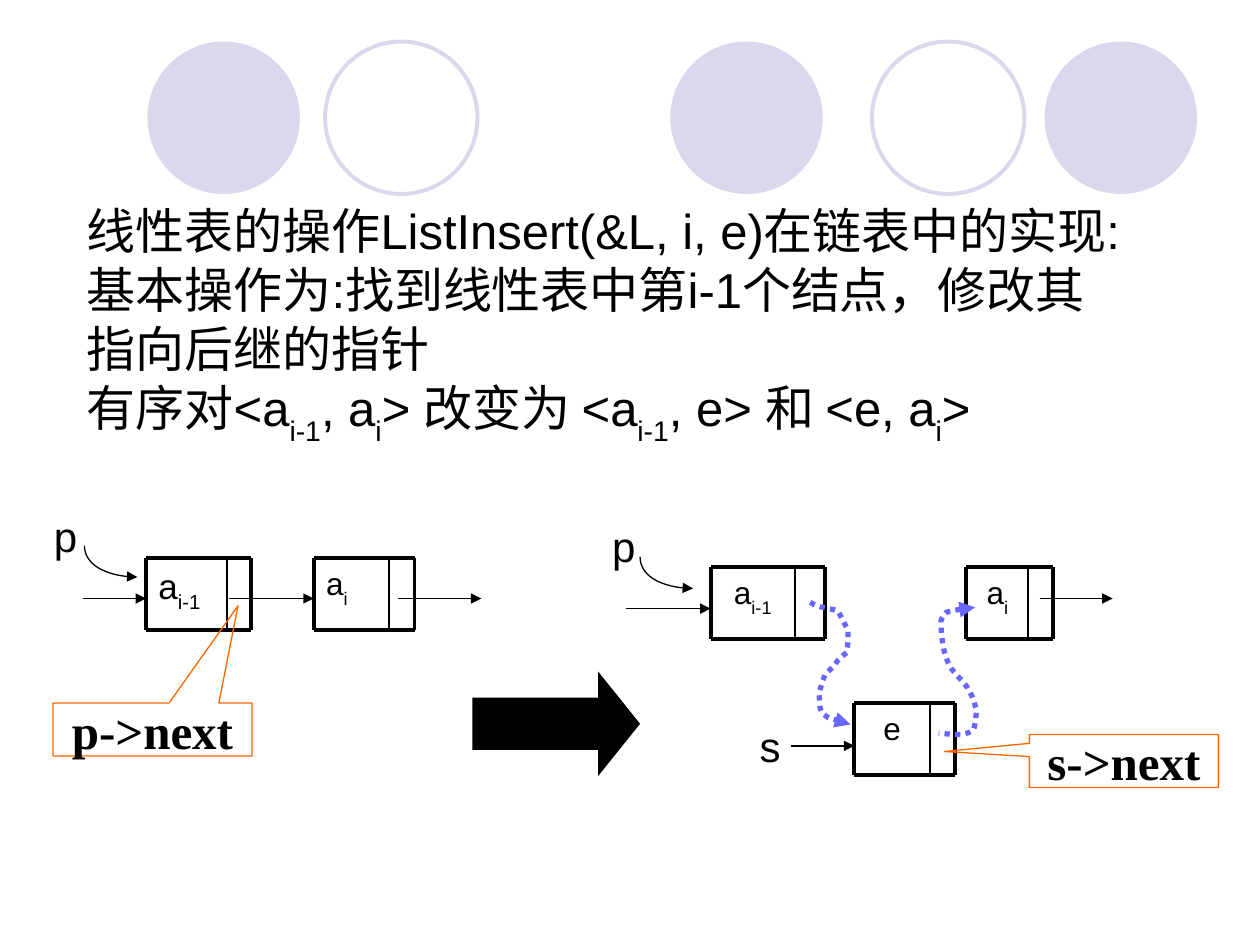
from dataclasses import dataclass

from lxml.etree import SubElement
from pptx import Presentation
from pptx.dml.color import RGBColor
from pptx.enum.dml import MSO_LINE
from pptx.enum.shapes import MSO_CONNECTOR, MSO_SHAPE
from pptx.enum.text import MSO_ANCHOR, MSO_AUTO_SIZE, PP_ALIGN
from pptx.oxml.ns import qn
from pptx.util import Inches, Pt

Point = tuple[float, float]


@dataclass(frozen=True)
class Theme:
    black: str = "000000"
    lavender: str = "D9D8EC"
    violet: str = "6767FF"
    orange: str = "FF6600"
    body_font: str = "Arial"
    code_font: str = "Times New Roman"
    heading: float = 28
    pointer: float = 24
    large_cell: float = 20
    cell: float = 18
    thin: float = 0.75
    divider: float = 1
    frame: float = 2.25
    link: float = 3


@dataclass(frozen=True)
class Circle:
    left: float
    filled: bool


@dataclass(frozen=True)
class Node:
    left: float
    top: float
    width: float
    data_width: float
    pieces: tuple[str, ...]
    size: float
    align: PP_ALIGN = PP_ALIGN.CENTER


@dataclass(frozen=True)
class Callout:
    left: float
    top: float
    width: float
    text: str
    tip: Point


THEME = Theme()
NODE_HEIGHT = 0.57
CIRCLES = [Circle(5.32, True), Circle(8.29, True), Circle(1.17, True),
           Circle(6.92, False), Circle(2.58, False)]
NODES = [
    Node(1.16, 4.43, 0.83, 0.64, ("a", "i-1"), THEME.large_cell, PP_ALIGN.LEFT),
    Node(2.49, 4.43, 0.8, 0.6, ("a", "i"), THEME.cell, PP_ALIGN.LEFT),
    Node(5.64, 4.5, 0.91, 0.67, ("a", "i-1"), THEME.cell),
    Node(7.67, 4.5, 0.69, 0.49, ("a", "i"), THEME.cell),
    Node(6.78, 5.58, 0.8, 0.6, ("e",), THEME.cell),
]
ARROWS = [(0.66, 1.16, 4.75), (1.82, 2.49, 4.75), (3.16, 3.82, 4.75),
          (4.97, 5.64, 4.83), (8.25, 8.83, 4.75), (6.28, 6.78, 5.92)]
POINTERS = [("p", 0.33, 4), ("p", 4.76, 4.08), ("s", 5.93, 5.67)]
HOOKS = [(0.67, 4.33), (5.08, 4.42)]
CALLOUTS = [Callout(0.42, 5.58, 1.58, "p->next", (0.43, -2.34)),
            Callout(8.17, 5.83, 1.5, "s->next", (-0.95, -0.18))]
LINK_TO_NEW = [
    (6.43, 4.78), (6.5, 4.83), (6.57, 4.82), (6.65, 4.85), (6.68, 4.9), (6.7, 4.95),
    (6.73, 5), (6.73, 5.06), (6.73, 5.13), (6.72, 5.18), (6.71, 5.2), (6.68, 5.2),
    (6.67, 5.22), (6.65, 5.23), (6.65, 5.25), (6.63, 5.27), (6.61, 5.3), (6.55, 5.35),
    (6.55, 5.35), (6.53, 5.4), (6.5, 5.5), (6.5, 5.5), (6.51, 5.56), (6.49, 5.65),
    (6.55, 5.68), (6.59, 5.71), (6.66, 5.72), (6.7, 5.73), (6.72, 5.74), (6.75, 5.75),
    (6.75, 5.75),
]
LINK_FROM_NEW = [
    (7.74, 4.82), (7.65, 4.83), (7.59, 4.84), (7.51, 4.86), (7.49, 4.88), (7.46, 4.92),
    (7.47, 4.95), (7.47, 5.06), (7.49, 5.24), (7.57, 5.33), (7.61, 5.38), (7.68, 5.44),
    (7.7, 5.5), (7.72, 5.52), (7.74, 5.6), (7.75, 5.64), (7.75, 5.64), (7.74, 5.79),
    (7.72, 5.8), (7.69, 5.82), (7.63, 5.83), (7.63, 5.83), (7.57, 5.83), (7.45, 5.82),
    (7.45, 5.82),
]
TITLE = (
    "线性表的操作ListInsert(&L, i, e)在链表中的实现:\n"
    "基本操作为:找到线性表中第i-1个结点，修改其指向后继的指针\n有序对<a",
    "i-1", ", a", "i", "> 改变为 <a", "i-1", ", e> 和 <e, a", "i", ">",
)


def write(shape, pieces, *, size, font=THEME.body_font, bold=False, align=PP_ALIGN.LEFT,
          anchor=MSO_ANCHOR.TOP, bottom=0.05, before=0.0) -> None:
    """Fill a shape with pieces of text, every second one a subscript."""
    frame = shape.text_frame
    frame.word_wrap = True
    frame.auto_size = MSO_AUTO_SIZE.NONE
    frame.vertical_anchor = anchor
    frame.margin_left = frame.margin_right = Inches(0.1)
    frame.margin_top, frame.margin_bottom = Inches(0.05), Inches(bottom)
    para = frame.paragraphs[0]
    para.alignment = align
    para.space_before = Pt(before)
    para._p.get_or_add_pPr().set("hangingPunct", "0")
    for index, piece in enumerate(pieces):
        for row, text in enumerate(piece.split("\n")):
            if row:
                para.add_line_break()
                SubElement(para._p.findall(qn("a:br"))[-1], qn("a:rPr"), sz=str(size * 100))
            span = para.add_run()
            span.text = text
            span.font.size, span.font.name, span.font.bold = Pt(size), font, bold
            span.font.color.rgb = RGBColor.from_string(THEME.black)
            if index % 2:
                span.font._element.set("baseline", "-30000")


def stroke(shape, color: str, width: float, *, arrow: str = "") -> None:
    """Set the line of a shape, with an optional arrowhead at headEnd or tailEnd."""
    shape.line.color.rgb = RGBColor.from_string(color)
    shape.line.width = Pt(width)
    if arrow:
        SubElement(shape.line._get_or_add_ln(), qn(f"a:{arrow}"), type="triangle")


def add_outline(page, kind: MSO_SHAPE, left: float, top: float, width: float,
                height: float, color: str, line_width: float, *, filled: bool = False):
    """Add a preset shape that is either filled or outlined."""
    shape = page.shapes.add_shape(kind, Inches(left), Inches(top), Inches(width), Inches(height))
    shape.shadow.inherit = False
    if filled:
        shape.fill.solid()
        shape.fill.fore_color.rgb = RGBColor.from_string(color)
        shape.line.fill.background()
    else:
        shape.fill.background()
        stroke(shape, color, line_width)
    return shape


def add_line(page, start: Point, end: Point, width: float, *, arrow: str = "") -> None:
    """Add a straight black line without a shadow."""
    line = page.shapes.add_connector(MSO_CONNECTOR.STRAIGHT, *map(Inches, start + end))
    stroke(line, THEME.black, width, arrow=arrow)
    SubElement(line._element.spPr, qn("a:effectLst"))


def add_curve(page, points: list[Point], color: str, width: float, *,
              arrow: str = "tailEnd", dotted: bool = False) -> None:
    """Add an open chain of cubic curves with an arrowhead."""
    start, *rest = [(Inches(x), Inches(y)) for x, y in points]
    builder = page.shapes.build_freeform(*start, scale=1.0)
    builder.add_line_segments(rest, close=False)
    curve = builder.convert_to_shape()
    segments = list(curve._element.iter(qn("a:lnTo")))
    outline = segments[0].getparent()
    for first in range(0, len(segments), 3):
        cubic = SubElement(outline, qn("a:cubicBezTo"))
        for segment in segments[first:first + 3]:
            cubic.append(segment[0])
            outline.remove(segment)
    curve.shadow.inherit = False
    curve.fill.background()
    if dotted:
        curve.line.dash_style = MSO_LINE.ROUND_DOT
    stroke(curve, color, width, arrow=arrow)


def add_node(page, node: Node) -> None:
    """Add a list node: a data cell and a pointer cell."""
    box = page.shapes.add_textbox(*map(Inches, (node.left, node.top, node.data_width, NODE_HEIGHT)))
    write(box, node.pieces, size=node.size, align=node.align, before=node.size / 4)
    right, bottom = node.left + node.width, node.top + NODE_HEIGHT
    for y in (node.top, bottom):
        add_line(page, (node.left, y), (right, y), THEME.frame)
    for x, width in ((node.left, THEME.frame), (node.left + node.data_width, THEME.divider),
                     (right, THEME.frame)):
        add_line(page, (x, node.top), (x, bottom), width)


def add_callout(page, callout: Callout) -> None:
    """Add a callout that names a pointer field."""
    box = add_outline(page, MSO_SHAPE.RECTANGULAR_CALLOUT, callout.left, callout.top,
                      callout.width, 0.42, THEME.orange, THEME.thin)
    box.adjustments[0], box.adjustments[1] = callout.tip
    write(box, (callout.text,), size=THEME.heading, font=THEME.code_font, bold=True,
          align=PP_ALIGN.CENTER, anchor=MSO_ANCHOR.MIDDLE)


def main() -> None:
    """Build the slide and save it."""
    deck = Presentation()
    deck.slide_width, deck.slide_height = Inches(10), Inches(7.5)
    page = deck.slides.add_slide(deck.slide_layouts[5])
    for circle in CIRCLES:
        add_outline(page, MSO_SHAPE.OVAL, circle.left, 0.33, 1.21, 1.21,
                    THEME.lavender, THEME.frame, filled=circle.filled)
    title = page.shapes.title
    page.shapes._spTree.append(title._element)
    title.left, title.top, title.width, title.height = map(Inches, (0.59, 2.17, 8.5, 1.25))
    write(title, TITLE, size=THEME.heading, anchor=MSO_ANCHOR.MIDDLE, bottom=0.5)
    for node in NODES:
        add_node(page, node)
    for start, end, height in ARROWS:
        add_line(page, (start, height), (end, height), THEME.thin, arrow="tailEnd")
    for name, left, top in POINTERS:
        box = page.shapes.add_textbox(Inches(left), Inches(top), Inches(0.39), Inches(0.5))
        write(box, (name,), size=THEME.pointer)
    for x, y in HOOKS:
        hook = [(x, y), (x, y + 0.14), (x + 0.18, y + 0.25), (x + 0.42, y + 0.25)]
        add_curve(page, hook, THEME.black, THEME.thin)
    for link, arrow in ((LINK_TO_NEW, "tailEnd"), (LINK_FROM_NEW, "headEnd")):
        add_curve(page, link, THEME.violet, THEME.link, arrow=arrow, dotted=True)
    for callout in CALLOUTS:
        add_callout(page, callout)
    arrow = add_outline(page, MSO_SHAPE.RIGHT_ARROW, 3.75, 5.33, 1.33, 0.83,
                        THEME.black, THEME.thin, filled=True)
    arrow.adjustments[0], arrow.adjustments[1] = 0.5, 0.4
    deck.save("out.pptx")


if __name__ == "__main__":
    main()
